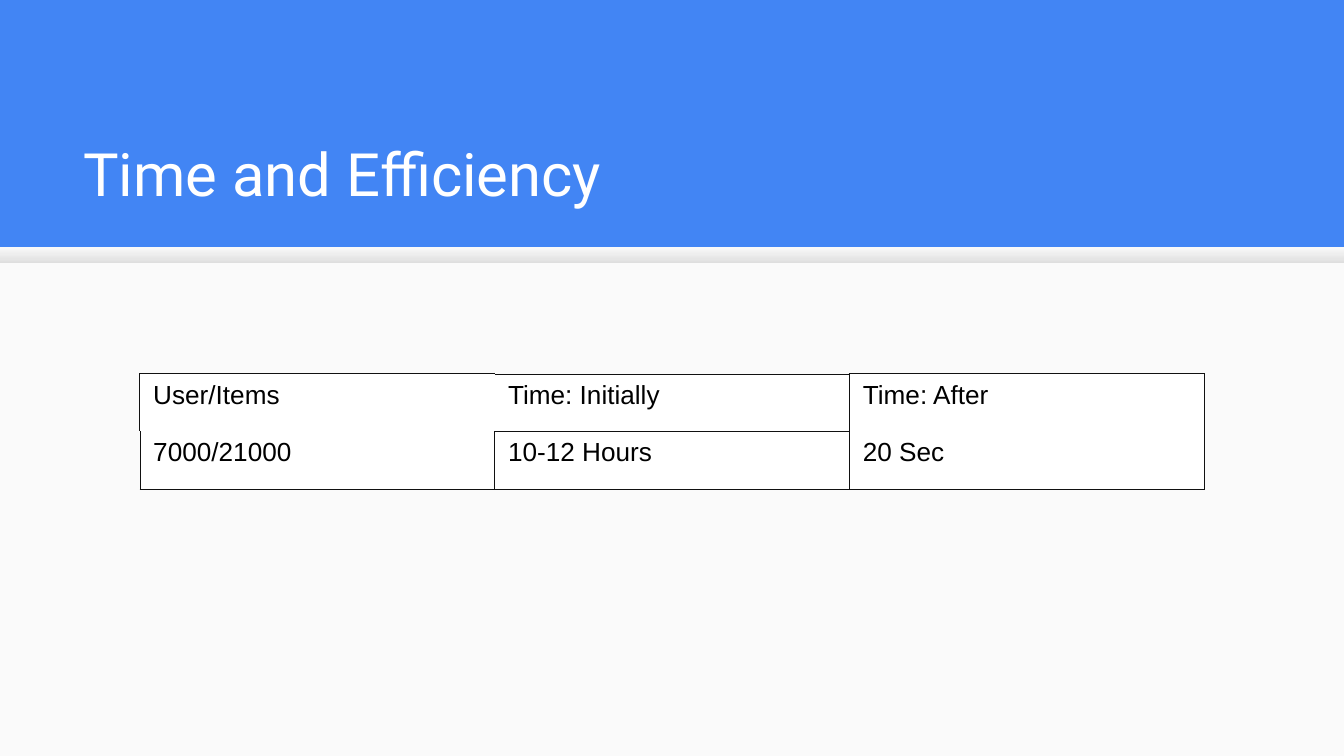
from dataclasses import dataclass

from pptx import Presentation
from pptx.dml.color import RGBColor
from pptx.enum.shapes import MSO_SHAPE as Shape
from pptx.enum.text import MSO_ANCHOR as Anchor, PP_ALIGN as Align
from pptx.oxml.ns import qn
from pptx.util import Inches, Pt
from lxml.etree import SubElement

BLUE = RGBColor(0x42, 0x85, 0xF4)
PANEL = RGBColor(0xFA, 0xFA, 0xFA)
SHADE_TOP = RGBColor(0xF9, 0xF9, 0xF9)
SHADE_BOTTOM = RGBColor(0xDE, 0xDE, 0xDE)
WHITE = RGBColor(0xFF, 0xFF, 0xFF)
BLACK = RGBColor(0, 0, 0)
BORDER = RGBColor(0x11, 0x11, 0x11)

SLIDE_WIDTH = 10
SLIDE_HEIGHT = SLIDE_WIDTH * 9 / 16
HEADER_HEIGHT = 1.84
TABLE_LEFT, TABLE_TOP = 1.04, 2.78
COLUMN_WIDTH, ROW_HEIGHT = 2.64, 0.43
THICK, THIN = 0.57, 0.06


@dataclass(frozen=True)
class CellSpec:
    text: str
    edges: str  # any of L, R, T, B
    line_width: float


@dataclass(frozen=True)
class TableSpec:
    first_column: int
    rows: tuple[tuple[CellSpec, ...], ...]


TABLES = (
    TableSpec(0, (
        (CellSpec("User/Items", "LT", THICK), CellSpec("Time: Initially", "TRB", THIN)),
        (CellSpec("7000/21000", "LRB", THIN), CellSpec("10-12 Hours", "LRTB", THIN)),
    )),
    TableSpec(2, (
        (CellSpec("Time: After", "LRT", THICK),),
        (CellSpec("20 Sec", "LRB", THICK),),
    )),
)


def write_text(frame, text: str, *, font: str, size: float, color: RGBColor,
               anchor=Anchor.TOP) -> None:
    frame.word_wrap = True
    frame.vertical_anchor = anchor
    paragraph = frame.paragraphs[0]
    paragraph.alignment = Align.LEFT
    run = paragraph.add_run()
    run.text = text
    run.font.name = font
    run.font.size = Pt(size)
    run.font.color.rgb = color


def add_band(slide, top: float, height: float):
    """Add a borderless full-width rectangle."""
    band = slide.shapes.add_shape(
        Shape.RECTANGLE, 0, Inches(top), Inches(SLIDE_WIDTH), Inches(height))
    band.shadow.inherit = False
    band.line.fill.background()
    return band


def set_borders(cell, edges: str, width: float) -> None:
    properties = cell._tc.get_or_add_tcPr()
    for edge in "LRTB":
        line = SubElement(properties, qn(f"a:ln{edge}"), w=str(int(Pt(width))))
        if edge in edges:
            fill = SubElement(line, qn("a:solidFill"))
            SubElement(fill, qn("a:srgbClr"), val=str(BORDER))
        else:
            SubElement(line, qn("a:noFill"))


def add_table(slide, spec: TableSpec) -> None:
    row_count, column_count = len(spec.rows), len(spec.rows[0])
    table = slide.shapes.add_table(
        row_count, column_count,
        Inches(TABLE_LEFT + spec.first_column * COLUMN_WIDTH), Inches(TABLE_TOP),
        Inches(column_count * COLUMN_WIDTH), Inches(row_count * ROW_HEIGHT)).table
    table.first_row = table.horz_banding = False
    for row_index, row in enumerate(spec.rows):
        for column_index, cell_spec in enumerate(row):
            cell = table.cell(row_index, column_index)
            set_borders(cell, cell_spec.edges, cell_spec.line_width)
            cell.fill.solid()
            cell.fill.fore_color.rgb = WHITE
            write_text(cell.text_frame, cell_spec.text, font="Arial", size=14, color=BLACK)


def add_title(slide, text: str) -> None:
    title = slide.shapes.title
    title.left, title.top = Inches(0.52), Inches(0.81)
    title.width, title.height = Inches(8.99), Inches(0.84)
    frame = title.text_frame
    frame.margin_left = frame.margin_right = Inches(0.1)
    frame.margin_top = frame.margin_bottom = Inches(0.1)
    write_text(frame, text, font="Roboto", size=32, color=WHITE, anchor=Anchor.BOTTOM)


def main() -> None:
    presentation = Presentation()
    presentation.slide_width = Inches(SLIDE_WIDTH)
    presentation.slide_height = Inches(SLIDE_HEIGHT)
    slide = presentation.slides.add_slide(presentation.slide_layouts[5])
    slide.background.fill.solid()
    slide.background.fill.fore_color.rgb = BLUE

    panel = add_band(slide, HEADER_HEIGHT, SLIDE_HEIGHT - HEADER_HEIGHT)
    panel.fill.solid()
    panel.fill.fore_color.rgb = PANEL

    shade = add_band(slide, HEADER_HEIGHT, 0.12)
    shade.fill.gradient()
    shade.fill.gradient_angle = 270
    for stop, color in zip(shade.fill.gradient_stops, (SHADE_TOP, SHADE_BOTTOM)):
        stop.color.rgb = color

    add_title(slide, "Time and Efficiency")
    for spec in TABLES:
        add_table(slide, spec)
    presentation.save("out.pptx")


if __name__ == "__main__":
    main()
